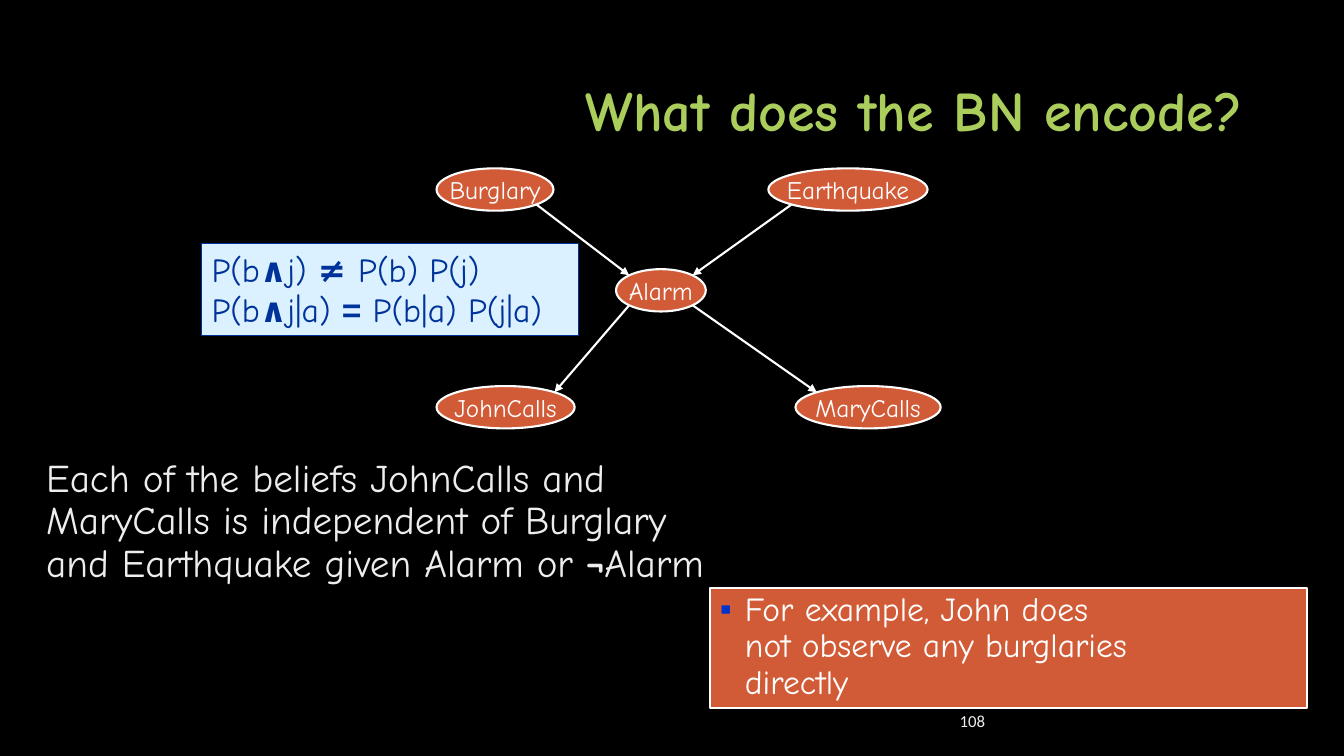
from dataclasses import dataclass
from math import copysign, sqrt

from lxml import etree
from pptx import Presentation
from pptx.dml.color import RGBColor
from pptx.enum import shapes, text
from pptx.oxml import ns
from pptx.util import Inches, Pt


@dataclass(frozen=True)
class Theme:
    font: str = "Comic Neue"
    symbol_font: str = "Arial"
    number_font: str = "Calibri"
    background: str = "000000"
    title: str = "AACD5B"
    body: str = "EDEDED"
    white: str = "FFFFFF"
    accent: str = "D15B37"
    formula_fill: str = "DBF1FF"
    formula_ink: str = "003399"
    bullet: str = "0033CC"
    title_size: int = 40
    body_size: int = 28
    box_size: int = 24
    node_size: int = 18
    number_size: int = 12
    outline: float = 1.5


THEME = Theme()
BOLD = {"bold": True}
SYMBOL = {"bold": True, "font": THEME.symbol_font}

NODE_HEIGHT = 0.42
NODES = {  # name: (left, top, width)
    "Burglary": (4.33, 1.67, 1.16),
    "Earthquake": (7.62, 1.67, 1.58),
    "Alarm": (6.11, 2.67, 0.89),
    "MaryCalls": (7.89, 3.83, 1.44),
    "JohnCalls": (4.33, 3.83, 1.37),
}
INFLUENCES = [("Burglary", "Alarm"), ("Earthquake", "Alarm"),
              ("Alarm", "JohnCalls"), ("Alarm", "MaryCalls")]


def rgb(value):
    return RGBColor.from_string(value)


def write(shape, paragraphs, *, size, color, font=THEME.font, bold=False,
          align=text.PP_ALIGN.LEFT, anchor=text.MSO_ANCHOR.TOP,
          spacing=None, wrap=True, bullet=None):
    """Fill a shape with paragraphs, each a list of (wording, overrides) runs."""
    frame = shape.text_frame
    frame.word_wrap = wrap
    frame.vertical_anchor = anchor
    for index, runs in enumerate(paragraphs):
        paragraph = frame.add_paragraph() if index else frame.paragraphs[0]
        paragraph.alignment = align
        if spacing:
            paragraph.line_spacing = spacing
        if bullet:
            add_bullet(paragraph, bullet)
        for wording, overrides in runs:
            for number, line in enumerate(wording.split("\n")):
                if number:
                    paragraph.add_line_break()
                run = paragraph.add_run()
                run.text = line
                run.font.name = overrides.get("font", font)
                run.font.bold = overrides.get("bold", bold)
                run.font.size = Pt(size)
                run.font.color.rgb = rgb(color)


def add_bullet(paragraph, color):
    properties = paragraph._p.get_or_add_pPr()
    properties.set("marL", str(Inches(0.25)))
    properties.set("indent", str(-Inches(0.25)))
    bullet_color = etree.SubElement(properties, ns.qn("a:buClr"))
    etree.SubElement(bullet_color, ns.qn("a:srgbClr"), val=color)
    etree.SubElement(properties, ns.qn("a:buFont"), typeface=THEME.symbol_font)
    etree.SubElement(properties, ns.qn("a:buChar"), char="▪")


def add_text(slide, box, paragraphs, **style):
    write(slide.shapes.add_textbox(*map(Inches, box)), paragraphs, **style)


def add_filled(slide, kind, box, fill, line, line_width):
    shape = slide.shapes.add_shape(kind, *map(Inches, box))
    shape.shadow.inherit = False
    shape.fill.solid()
    shape.fill.fore_color.rgb = rgb(fill)
    shape.line.color.rgb = rgb(line)
    shape.line.width = Pt(line_width)
    return shape


def add_title(slide, box):
    add_text(slide, box, [[("What does the BN encode?", {})]],
             size=THEME.title_size, color=THEME.title, bold=True, spacing=0.9,
             align=text.PP_ALIGN.RIGHT, anchor=text.MSO_ANCHOR.MIDDLE)


def add_statement(slide, box):
    add_text(slide, box, [[
        ("Each of the beliefs JohnCalls and MaryCalls is independent of "
         "Burglary and Earthquake given Alarm or ", {}),
        ("¬", BOLD), ("Alarm", {})]],
        size=THEME.body_size, color=THEME.body, spacing=0.9)


def diagonal_point(node, toward):
    """Point at 45 degrees on a node's rim, in the quadrant facing another node."""
    left, top, width = NODES[node]
    other_left, other_top, other_width = NODES[toward]
    center = left + width / 2
    side = copysign(1, other_left + other_width / 2 - center)
    rise = copysign(1, other_top - top)
    return (center + side * width / 2 / sqrt(2),
            top + NODE_HEIGHT / 2 + rise * NODE_HEIGHT / 2 / sqrt(2))


def add_network(slide):
    for name, (left, top, width) in NODES.items():
        node = add_filled(slide, shapes.MSO_SHAPE.OVAL,
                          (left, top, width, NODE_HEIGHT),
                          THEME.accent, THEME.white, THEME.outline)
        write(node, [[(name, {})]], size=THEME.node_size, color=THEME.white,
              align=text.PP_ALIGN.CENTER, anchor=text.MSO_ANCHOR.MIDDLE,
              wrap=False)
    for cause, effect in INFLUENCES:
        ends = diagonal_point(cause, effect) + diagonal_point(effect, cause)
        arrow = slide.shapes.add_connector(
            shapes.MSO_CONNECTOR.STRAIGHT, *map(Inches, ends))
        arrow.line.color.rgb = rgb(THEME.white)
        arrow.line.width = Pt(THEME.outline)
        etree.SubElement(arrow.line._get_or_add_ln(), ns.qn("a:tailEnd"),
                         type="triangle")
        etree.SubElement(arrow._element.spPr, ns.qn("a:effectLst"))


def add_example(slide, box):
    example = add_filled(slide, shapes.MSO_SHAPE.RECTANGLE, box,
                         THEME.accent, THEME.white, THEME.outline)
    write(example,
          [[("For example, John does\nnot observe any burglaries\ndirectly", {})]],
          size=THEME.box_size, color=THEME.white, spacing=0.9,
          bullet=THEME.bullet)


def add_formulas(slide, box):
    formulas = add_filled(slide, shapes.MSO_SHAPE.RECTANGLE, box,
                          THEME.formula_fill, THEME.formula_ink, 0.75)
    write(formulas, [
        [("P(b", {}), ("∧", BOLD), ("j) ", {}), ("≠ ", BOLD), ("P(b) P(j)", {})],
        [("P(b", {}), ("∧", BOLD), ("j|a) ", {}), ("=", SYMBOL),
         (" P(b|a) P(j|a)", {})],
    ], size=THEME.box_size, color=THEME.formula_ink)


def add_page_number(slide, box):
    add_text(slide, box, [[("108", {})]], size=THEME.number_size,
             color=THEME.body, font=THEME.number_font,
             anchor=text.MSO_ANCHOR.MIDDLE)


def main():
    deck = Presentation()
    deck.slide_width, deck.slide_height = Inches(13.33), Inches(7.5)
    slide = deck.slides.add_slide(deck.slide_layouts[6])
    slide.background.fill.solid()
    slide.background.fill.fore_color.rgb = rgb(THEME.background)
    add_title(slide, (0.92, 0.4, 11.5, 1.45))
    add_statement(slide, (0.36, 4.5, 6.89, 2.17))
    add_network(slide)
    add_example(slide, (7.04, 5.83, 5.92, 1.19))
    add_formulas(slide, (2, 2.42, 3.74, 0.91))
    add_page_number(slide, (9.42, 6.95, 3, 0.4))
    deck.save("out.pptx")


if __name__ == "__main__":
    main()
